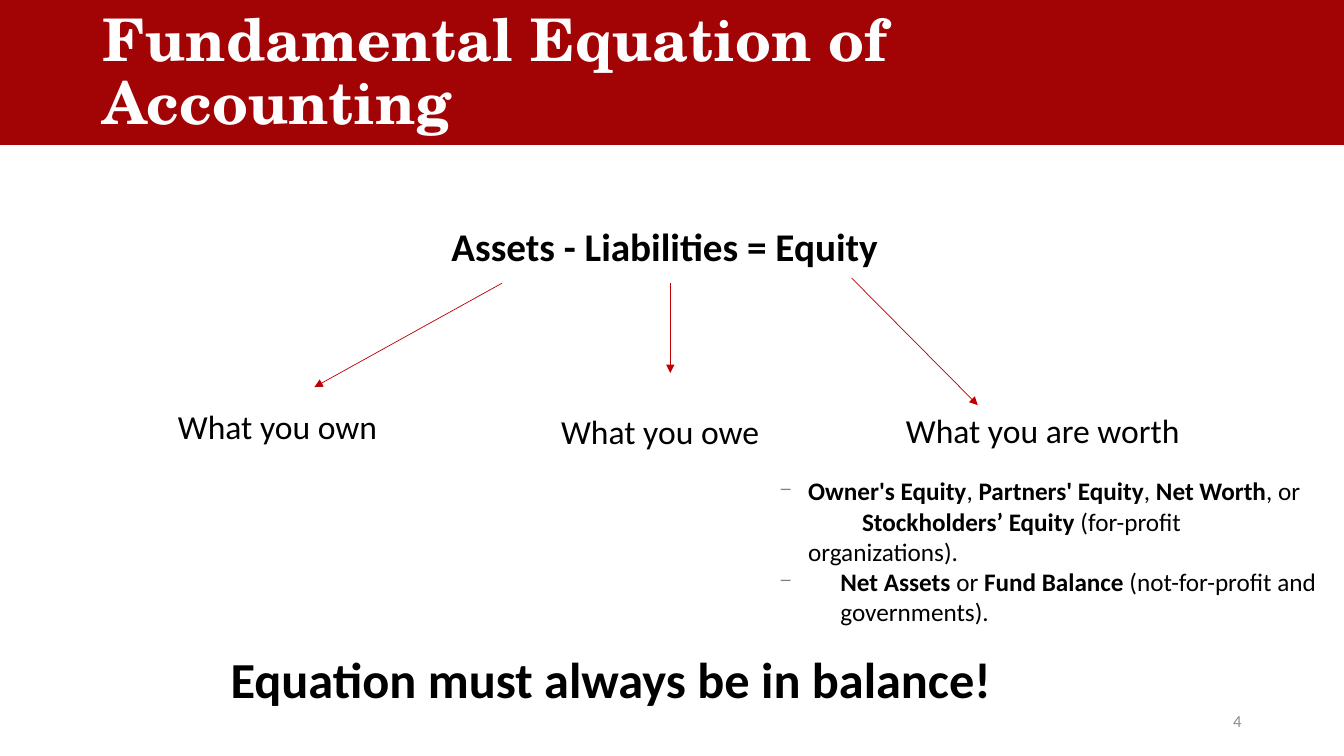
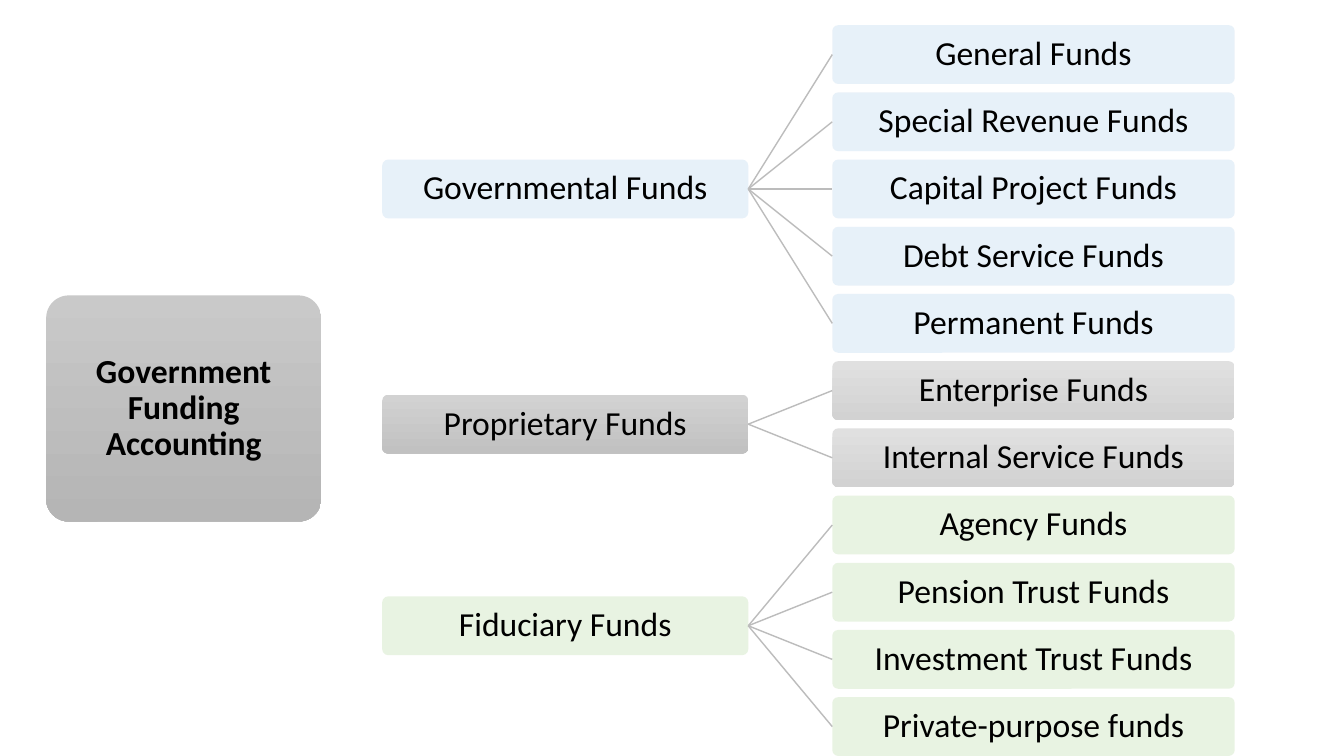
from pptx import Presentation
from pptx.dml.color import RGBColor
from pptx.enum.shapes import MSO_CONNECTOR as Conn, MSO_SHAPE as Shape
from pptx.enum.text import MSO_ANCHOR as Anchor, PP_ALIGN as Align
from pptx.oxml.ns import qn
from pptx.util import Pt
from lxml.etree import SubElement as Sub

RED = RGBColor(0xA2, 0x03, 0x05)
ARROW = RGBColor(0xC0, 0x00, 0x00)
WHITE = RGBColor(0xFF, 0xFF, 0xFF)
BLACK = RGBColor(0x00, 0x00, 0x00)
GRAY = RGBColor(0x8C, 0x8C, 0x8C)
LINK = RGBColor(0xBC, 0xBC, 0xBC)
BLUE = RGBColor(0xBD, 0xD7, 0xEE)
GREEN = RGBColor(0xC5, 0xE0, 0xB4)
ROOT = (RGBColor(0xC9, 0xC9, 0xC9), RGBColor(0xB5, 0xB5, 0xB5))
MID = (RGBColor(0xD2, 0xD2, 0xD2), RGBColor(0xC1, 0xC1, 0xC1))
PALE = (RGBColor(0xE0, 0xE0, 0xE0), RGBColor(0xD2, 0xD2, 0xD2))
WIDE, HIGH = 960, 540

# Name, branch fill, leaf fill, opacity in percent, leaves
FUNDS = [
    ("Governmental Funds", BLUE, BLUE, 35,
     ["General Funds", "Special Revenue Funds", "Capital Project Funds",
      "Debt Service Funds", "Permanent Funds"]),
    ("Proprietary Funds", MID, PALE, 100,
     ["Enterprise Funds", "Internal Service Funds"]),
    ("Fiduciary Funds", GREEN, GREEN, 38,
     ["Agency Funds", "Pension Trust Funds", "Investment Trust Funds",
      "Private-purpose funds"]),
]

# Left margin, first-line indent, bullet, runs of (text, bold)
NOTES = [
    (91.4, -19.4, True,
     [("Owner's Equity", True), (", ", False), ("Partners' Equity", True),
      (", ", False), ("Net Worth", True), (", or", False)]),
    (91.4, 38.5, False,
     [("Stockholders’ Equity ", True), ("(for-profit organizations).", False)]),
    (114.4, -42.4, True,
     [("Net Assets", True), (" or ", False), ("Fund Balance", True),
      (" (not-for-profit and governments).", False)]),
]


def write(para, text, size=24, bold=False, color=BLACK, font="Calibri",
          align=Align.LEFT, lead=1, before=0):
    """Add text, either a string or (text, bold) runs, to a paragraph."""
    para.alignment, para.line_spacing = align, lead
    para.space_before = Pt(before)
    runs = [(text, bold)] if isinstance(text, str) else text
    for words, heavy in runs:
        run = para.add_run()
        run.text = words
        run.font.size, run.font.bold = Pt(size), heavy
        run.font.name, run.font.color.rgb = font, color


def label(slide, box, text, anchor=Anchor.TOP, **form):
    frame = slide.shapes.add_textbox(*map(Pt, box)).text_frame
    frame.word_wrap, frame.vertical_anchor = True, anchor
    write(frame.paragraphs[0], text, **form)


def line(slide, start, end, color, width):
    link = slide.shapes.add_connector(Conn.STRAIGHT, *map(Pt, start + end))
    link.line.color.rgb, link.line.width = color, Pt(width)
    Sub(link._element.spPr, qn("a:effectLst"))
    return link


def arrow(slide, start, end):
    link = line(slide, start, end, ARROW, 0.5)
    Sub(link.line._get_or_add_ln(), qn("a:tailEnd"), type="triangle")


def banner(slide, text, box):
    x, y, w, h = box
    band = slide.shapes.add_shape(Shape.RECTANGLE, *map(Pt, box))
    band.shadow.inherit = False
    band.fill.solid()
    band.fill.fore_color.rgb = band.line.color.rgb = RED
    band.line.width = Pt(1)
    # The band goes behind the title
    slide.shapes._spTree.insert(2, band._element)
    title = slide.shapes.title
    title.left, title.top = Pt(x + 66), Pt(y + 2)
    title.width, title.height = Pt(w - 132), Pt(h)
    frame = title.text_frame
    frame.word_wrap, frame.vertical_anchor = True, Anchor.MIDDLE
    write(frame.paragraphs[0], text, size=42, bold=True, color=WHITE,
          font="TeX Gyre Schola", lead=0.9)


def notes(slide, box):
    frame = slide.shapes.add_textbox(*map(Pt, box)).text_frame
    frame.word_wrap = True
    for i, (left, first, dash, runs) in enumerate(NOTES):
        para = frame.add_paragraph() if i else frame.paragraphs[0]
        write(para, runs, size=18)
        props = para._p.get_or_add_pPr()
        props.set("marL", str(Pt(left)))
        props.set("indent", str(Pt(first)))
        if dash:
            tint = Sub(props, qn("a:buClr"))
            Sub(tint, qn("a:srgbClr"), val="808080")
            Sub(props, qn("a:buSzPct"), val="70000")
            Sub(props, qn("a:buChar"), char="–")
        else:
            Sub(props, qn("a:buNone"))


def equation(slide, box):
    """Equation at the top, its three meanings below."""
    x, y, w, h = box
    label(slide, (x + 315.4, y + 58, 348, 36), "Assets - Liabilities = Equity",
          size=28, bold=True, lead=0.8, before=10)
    for start, end in [((358.6, 98.3), (224.6, 172.5)),
                       ((478.8, 98.3), (478.8, 162.4)),
                       ((608.4, 94.7), (698.4, 185.4))]:
        arrow(slide, (x + start[0], y + start[1]), (x + end[0], y + end[1]))
    for left, top, width, text, align in [
            (38, 185.4, 320.4, "What you own", Align.CENTER),
            (371, 189, 201, "What you owe", Align.CENTER),
            (640, 188.3, 280, "What you are worth", Align.LEFT)]:
        label(slide, (x + left, y + top, width, 36), text,
              align=align, lead=0.9, before=10)
    notes(slide, (x + 478.8, y + 232.2, w - 479.8, 117))
    label(slide, (x + 157.7, y + 355.4, 695.5, 51),
          "Equation must always be in balance!", size=36, bold=True)


def node(slide, box, text, fill, alpha=100, bold=False):
    """Rounded box; a pair of colours gives a gradient from top to bottom."""
    card = slide.shapes.add_shape(Shape.ROUNDED_RECTANGLE, *map(Pt, box))
    card.adjustments[0] = 0.1
    card.shadow.inherit = False
    card.line.fill.background()
    if isinstance(fill, RGBColor):
        card.fill.solid()
        card.fill.fore_color.rgb = fill
        tint = card._element.spPr.find(qn("a:solidFill"))[0]
        Sub(tint, qn("a:alpha"), val=str(alpha * 1000))
    else:
        card.fill.gradient()
        card.fill.gradient_angle = 270
        for stop, color in zip(card.fill.gradient_stops, fill):
            stop.color.rgb = color
    frame = card.text_frame
    frame.word_wrap, frame.vertical_anchor = True, Anchor.MIDDLE
    frame.margin_left = frame.margin_right = Pt(1.5)
    frame.margin_top = frame.margin_bottom = Pt(1.5)
    write(frame.paragraphs[0], text, bold=bold, align=Align.CENTER, lead=0.9)
    return card


def tree(slide, box):
    """Root, branches and leaves; each branch is centred on its leaves."""
    x, y, w, h = box
    tall, step = 42, 48
    mids, row = [], 0
    for name, fill, pale, alpha, leaves in FUNDS:
        top = y + step * (row + (len(leaves) - 1) / 2)
        mids.append(top + tall / 2)
        stem = node(slide, (x + 240, top, 261.5, tall), name, fill, alpha)
        for leaf in leaves:
            spot = (x + 561.5, y + step * row, w - 561.5, tall)
            card = node(slide, spot, leaf, pale, alpha)
            link = line(slide, (0, 0), (0, 0), LINK, 1)
            link.begin_connect(stem, 3)
            link.end_connect(card, 1)
            row += 1
    mid = (mids[0] + mids[-1]) / 2
    node(slide, (x, mid - 80, 196.5, 161.5), "Government Funding Accounting",
         ROOT, bold=True)


def main():
    deck = Presentation()
    deck.slide_width, deck.slide_height = Pt(WIDE), Pt(HIGH)

    # Accounting equation
    slide = deck.slides.add_slide(deck.slide_layouts[5])
    banner(slide, "Fundamental Equation of Accounting", (0, -1.4, WIDE, 104.4))
    equation(slide, (0, 104, WIDE, 436))
    label(slide, (678, 500.5, 216, 28.8), "4", size=12, color=GRAY,
          align=Align.RIGHT, anchor=Anchor.MIDDLE)

    # Fund tree
    slide = deck.slides.add_slide(deck.slide_layouts[6])
    tree(slide, (33, 18, 849, 522))

    deck.save("out.pptx")


if __name__ == "__main__":
    main()
